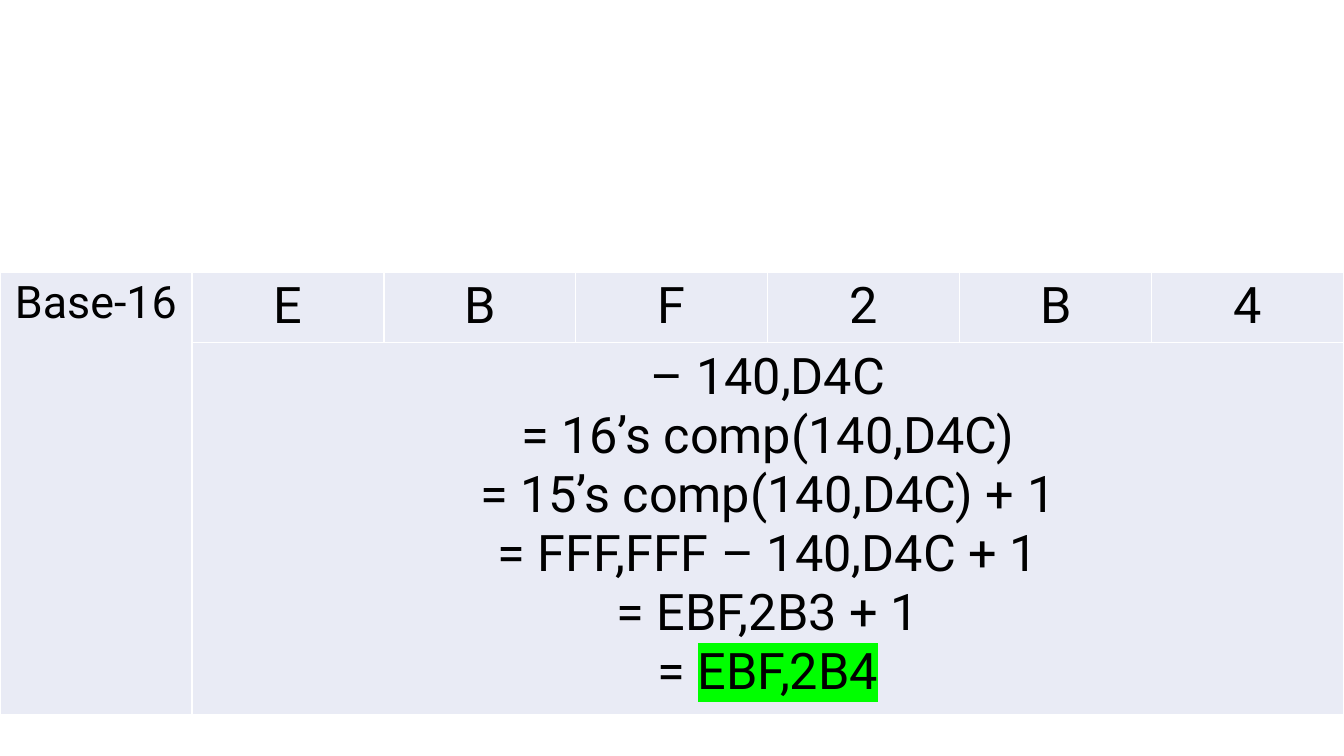
from lxml import etree
from pptx import Presentation
from pptx.dml.color import RGBColor
from pptx.enum.text import PP_ALIGN
from pptx.oxml.ns import qn
from pptx.util import Inches, Pt

CENTER = PP_ALIGN.CENTER
BLACK = RGBColor(0, 0, 0)
WHITE = RGBColor(255, 255, 255)
PALE_BLUE = RGBColor(0xE9, 0xEB, 0xF5)
GREEN = RGBColor(0, 255, 0)

DIGITS = "EBF2B4"
STEPS = [
    ["– 140,D4C"],
    ["= 16’s comp(140,D4C)"],
    ["= 15’s comp(140,D4C) + 1"],
    ["= FFF,FFF – 140,D4C + 1"],
    ["= EBF,2B3 + 1"],
    ["= ", "EBF,2B4"],
]


def add_text(para, text, size=36, highlight=None):
    para.alignment = CENTER
    span = para.add_run()
    span.text = text
    font = span.font
    font.name = "Roboto"
    font.size = Pt(size)
    font.color.rgb = BLACK
    if highlight is not None:
        mark = etree.Element(qn("a:highlight"))
        etree.SubElement(mark, qn("a:srgbClr"), val=str(highlight))
        span._r.rPr.find(qn("a:solidFill")).addnext(mark)


def style_cell(cell):
    cell.fill.solid()
    cell.fill.fore_color.rgb = PALE_BLUE
    properties = cell._tc.get_or_add_tcPr()
    for index, side in enumerate(("lnL", "lnR", "lnT", "lnB")):
        border = etree.Element(qn(f"a:{side}"), w=str(Pt(1)))
        fill = etree.SubElement(border, qn("a:solidFill"))
        etree.SubElement(fill, qn("a:srgbClr"), val=str(WHITE))
        properties.insert(index, border)


def add_grid(page, top, width, row_heights, column_count):
    frame = page.shapes.add_table(
        len(row_heights), column_count, 0, top, width, sum(row_heights)
    )
    table = frame.table
    table.first_row = False
    table.horz_banding = False
    for row, height in zip(table.rows, row_heights):
        row.height = height
    for cell in table.iter_cells():
        style_cell(cell)
    return table


def main():
    deck = Presentation()
    deck.slide_width = Inches(13.33)
    deck.slide_height = Inches(7.5)
    page = deck.slides.add_slide(deck.slide_layouts[6])

    heights = [Inches(0.7), Inches(3.69)]
    table = add_grid(page, Inches(2.7), deck.slide_width, heights, len(DIGITS) + 1)
    base_cell = table.cell(0, 0)
    steps_cell = table.cell(1, 1)
    base_cell.merge(table.cell(1, 0))
    steps_cell.merge(table.cell(1, len(DIGITS)))

    add_text(base_cell.text_frame.paragraphs[0], "Base-16", size=32)
    for column, digit in enumerate(DIGITS, start=1):
        add_text(table.cell(0, column).text_frame.paragraphs[0], digit)

    steps = steps_cell.text_frame
    for index, (lead, *result) in enumerate(STEPS):
        para = steps.add_paragraph() if index else steps.paragraphs[0]
        add_text(para, lead)
        for text in result:
            add_text(para, text, highlight=GREEN)

    deck.save("out.pptx")


if __name__ == "__main__":
    main()
